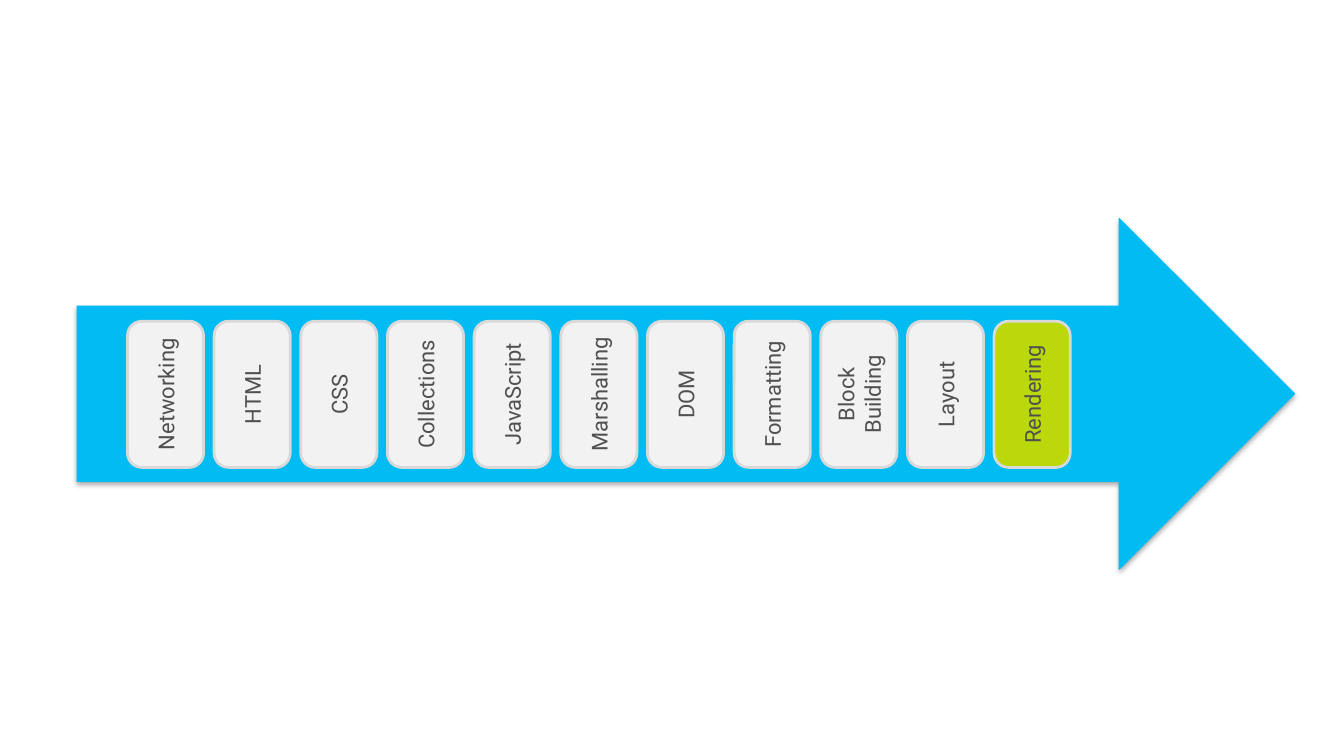
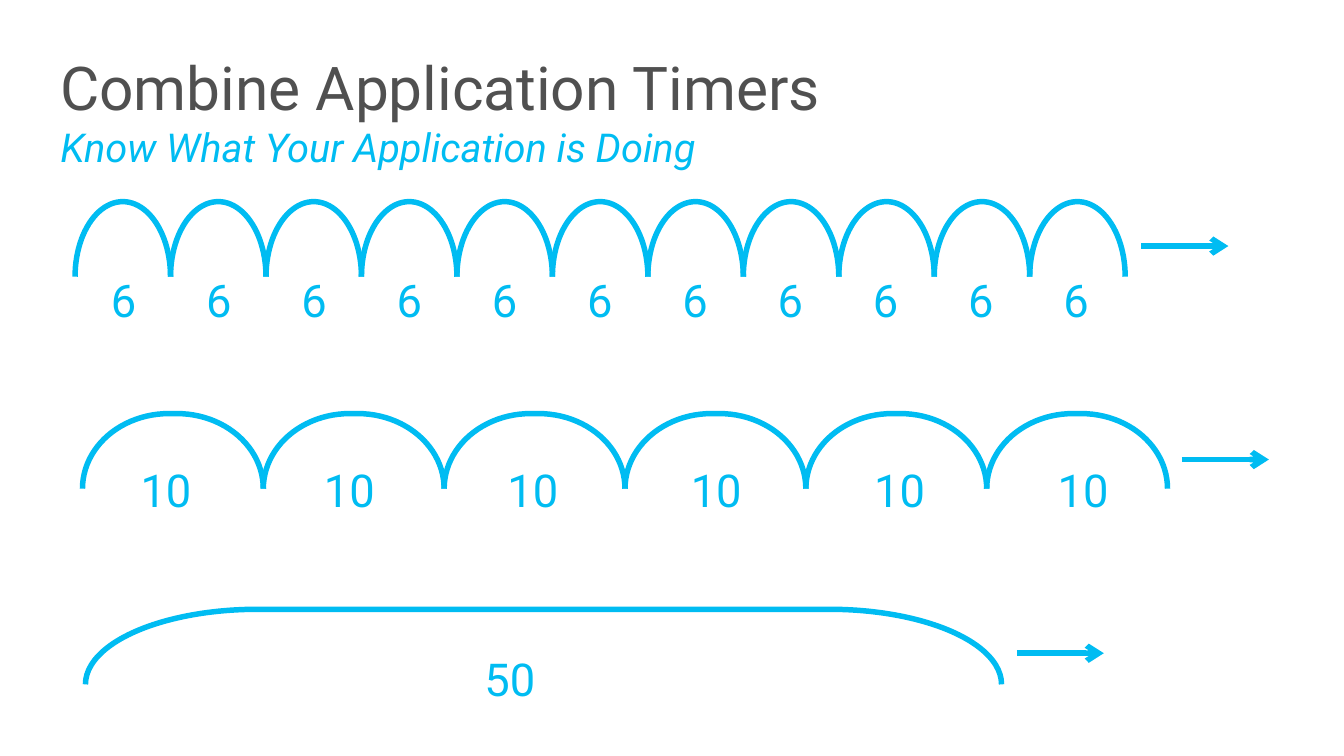
from lxml.etree import SubElement
from pptx import Presentation
from pptx.dml.color import RGBColor
from pptx.enum.shapes import MSO_CONNECTOR, MSO_SHAPE
from pptx.enum.text import MSO_ANCHOR, MSO_AUTO_SIZE, PP_ALIGN
from pptx.oxml.ns import qn
from pptx.util import Inches, Pt

# The grid has 136 columns and 76.5 rows of square cells
COLUMNS, ROWS = 136, 76.5
CELL = Inches(0.1)
TITLE_ONLY, BLANK = 5, 6

BLUE, GREEN, GREY = "00BCF2", "BAD80A", "505050"
PALE, EDGE, BLACK = "F2F2F2", "D9D9D9", "000000"

STAGES = ["Networking", "HTML", "CSS", "Collections", "JavaScript", "Marshalling",
          "DOM", "Formatting", "Block Building", "Layout", "Rendering"]


def color(value):
    return RGBColor.from_string(value)


def cells(*lengths):
    return [round(length * CELL) for length in lengths]


class Deck:
    font_name = "Roboto"

    def __init__(self):
        self.presentation = Presentation()
        self.presentation.slide_width, self.presentation.slide_height = cells(COLUMNS, ROWS)
        self.slide = None

    def add_slide(self, layout):
        self.slide = self.presentation.slides.add_slide(
            self.presentation.slide_layouts[layout])

    def add_run(self, paragraph, text, size, text_color, italic=False):
        run = paragraph.add_run()
        run.text = text
        run.font.name = self.font_name
        run.font.size = Pt(size)
        run.font.italic = italic
        run.font.color.rgb = color(text_color)

    def set_frame(self, shape, anchor, alignment, margins=(0, 0)):
        frame = shape.text_frame
        frame.word_wrap = True
        frame.auto_size = MSO_AUTO_SIZE.NONE
        frame.vertical_anchor = anchor
        frame.margin_left = frame.margin_right = cells(margins[0])[0]
        frame.margin_top = frame.margin_bottom = cells(margins[1])[0]
        paragraph = frame.paragraphs[0]
        paragraph.alignment = alignment
        return paragraph

    def title(self, text, subtitle):
        shape = self.slide.shapes.title
        shape.left, shape.top, shape.width, shape.height = cells(6.1, 5.1, 122.4, 8.1)
        paragraph = self.set_frame(shape, MSO_ANCHOR.TOP, PP_ALIGN.LEFT)
        self.add_run(paragraph, text, 44, GREY)
        paragraph.add_line_break()
        self.add_run(paragraph, subtitle, 29, BLUE, italic=True)

    def label(self, text, center, top, width=9.4):
        box = self.slide.shapes.add_textbox(*cells(center - width / 2, top, width, 5.6))
        paragraph = self.set_frame(box, MSO_ANCHOR.TOP, PP_ALIGN.CENTER)
        self.add_run(paragraph, text, 33, BLUE)

    def shape(self, kind, left, top, width, height, fill, line, line_width):
        shape = self.slide.shapes.add_shape(kind, *cells(left, top, width, height))
        shape.shadow.inherit = False
        if fill:
            shape.fill.solid()
            shape.fill.fore_color.rgb = color(fill)
        else:
            shape.fill.background()
        shape.line.color.rgb = color(line)
        shape.line.width = Pt(line_width)
        return shape

    def upright(self, kind, left, top, width, height, *style):
        """Add a shape turned a quarter left that covers the given area."""
        shift = (width - height) / 2
        shape = self.shape(kind, left + shift, top - shift, height, width, *style)
        shape.rotation = 270
        return shape

    def block_arrow(self, left, top, width, height):
        shape = self.shape(MSO_SHAPE.RIGHT_ARROW, left, top, width, height, BLUE, BLUE, 0.75)
        effects = shape._element.spPr.find(qn("a:effectLst"))
        shadow = SubElement(effects, qn("a:outerShdw"), blurRad=str(Pt(3.1)),
                            dist=str(Pt(1.8)), dir="5400000", rotWithShape="0")
        shade = SubElement(shadow, qn("a:srgbClr"), val=BLACK)
        SubElement(shade, qn("a:alpha"), val="35000")

    def stage(self, text, left, top, width, height, fill):
        shape = self.upright(MSO_SHAPE.ROUNDED_RECTANGLE, left, top, width, height,
                             fill, EDGE, 2)
        shape.adjustments[0] = 0.19
        paragraph = self.set_frame(shape, MSO_ANCHOR.MIDDLE, PP_ALIGN.CENTER, (1, 0.5))
        self.add_run(paragraph, text, 16, GREY)

    def arc(self, left, top, width, height, curve):
        shape = self.upright(MSO_SHAPE.RIGHT_BRACKET, left, top, width, height,
                             None, BLUE, 4)
        shape.adjustments[0] = curve

    def arrow(self, left, top, length=8.8):
        connector = self.slide.shapes.add_connector(
            MSO_CONNECTOR.STRAIGHT, *cells(left, top, left + length, top))
        connector.line.color.rgb = color(BLUE)
        connector.line.width = Pt(4)
        properties = connector._element.spPr
        SubElement(properties.find(qn("a:ln")), qn("a:tailEnd"), type="arrow")
        SubElement(properties, qn("a:effectLst"))

    def timer(self, text, count, left, top, pitch, curve,
              label_center, label_top, label_pitch, arrow_left, arrow_top):
        for index in range(count):
            self.arc(left + index * pitch, top, pitch, 7.6, curve)
            self.label(text, label_center + index * label_pitch, label_top)
        self.arrow(arrow_left, arrow_top)


def main():
    deck = Deck()

    # Pipeline of browser stages, the last one highlighted
    deck.add_slide(BLANK)
    deck.block_arrow(7.8, 22.1, 123.2, 35.5)
    for index, name in enumerate(STAGES):
        fill = GREEN if name == STAGES[-1] else PALE
        deck.stage(name, 12.9 + index * 8.77, 32.5, 7.7, 14.8, fill)

    # Timers with short, medium and long intervals
    deck.add_slide(TITLE_ONLY)
    deck.title("Combine Application Timers", "Know What Your Application is Doing")
    deck.timer("6", 11, 7.6, 20.4, 9.66, 1.15, 12.5, 27.5, 9.64, 115.5, 24.9)
    deck.timer("10", 6, 8.35, 41.85, 18.3, 1.15, 16.8, 46.8, 18.56, 119.6, 46.5)
    deck.timer("50", 1, 8.65, 61.65, 92.7, 2.29, 51.6, 65.9, 0, 102.9, 66.1)

    deck.presentation.save("out.pptx")


if __name__ == "__main__":
    main()
